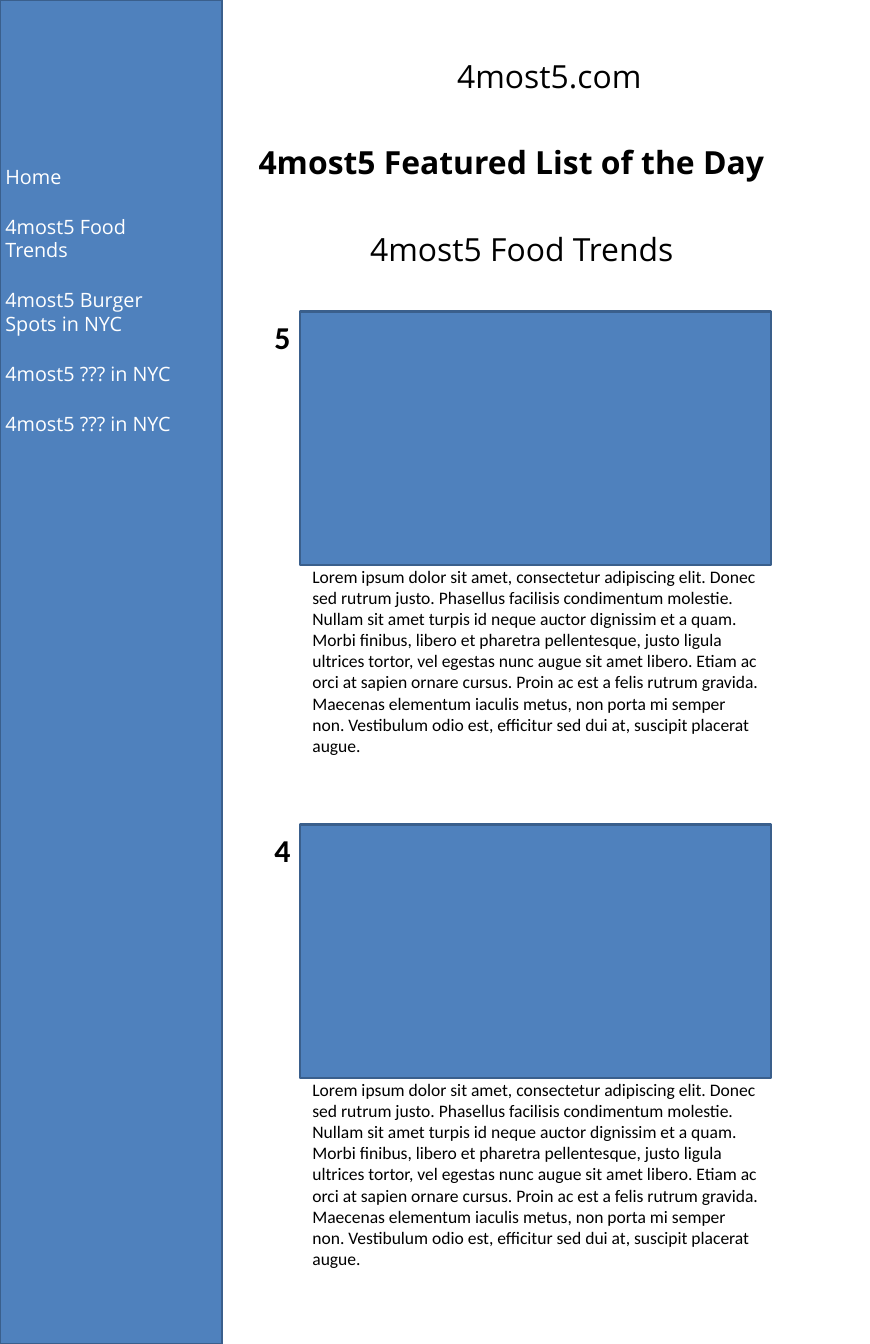
from pptx import Presentation
from pptx.dml.color import RGBColor
from pptx.enum.shapes import MSO_SHAPE as Shape
from pptx.enum.text import MSO_ANCHOR as Anchor, MSO_AUTO_SIZE as AutoSize, PP_ALIGN as Align
from pptx.util import Inches, Pt

BLUE = RGBColor(0x4F, 0x81, 0xBD)
EDGE = RGBColor(0x3A, 0x5F, 0x8C)
BLACK = RGBColor(0, 0, 0)
WHITE = RGBColor(255, 255, 255)

SITE = "4most5.com"
HEADINGS = [
    ("4most5 Featured List of the Day", (3.11, 1.73, 7.66, 0.65), True),
    ("4most5 Food Trends", (4.52, 2.83, 4.46, 0.65), False),
]
MENU = [
    "Home",
    "4most5 Food Trends",
    "4most5 Burger Spots in NYC",
    "4most5 ??? in NYC",
    "4most5 ??? in NYC",
]
RANKS = ["5", "4"]
BLURB = (
    "Lorem ipsum dolor sit amet, consectetur adipiscing elit. Donec sed rutrum justo. "
    "Phasellus facilisis condimentum molestie. Nullam sit amet turpis id neque auctor "
    "dignissim et a quam. Morbi finibus, libero et pharetra pellentesque, justo ligula "
    "ultrices tortor, vel egestas nunc augue sit amet libero. Etiam ac orci at sapien "
    "ornare cursus. Proin ac est a felis rutrum gravida. Maecenas elementum iaculis metus, "
    "non porta mi semper non. Vestibulum odio est, efficitur sed dui at, suscipit placerat augue."
)
ENTRY_TOP, ENTRY_STEP = 3.94, 6.49
ENTRY_LEFT, ENTRY_WIDTH = 3.79, 5.96
WIDE_INSETS, MENU_INSETS = (0.16, 0.08), (0.1, 0.05)


def write(box, lines, font, size, color=BLACK, bold=False, wrap=False, insets=WIDE_INSETS, gap=0):
    """Fill a box with one left-aligned paragraph per line."""
    frame = box.text_frame
    frame.word_wrap = wrap
    frame.auto_size = AutoSize.SHAPE_TO_FIT_TEXT
    frame.vertical_anchor = Anchor.TOP
    frame.margin_left = frame.margin_right = Inches(insets[0])
    frame.margin_top = frame.margin_bottom = Inches(insets[1])
    for index, line in enumerate(lines):
        para = frame.paragraphs[0] if index == 0 else frame.add_paragraph()
        para.alignment = Align.LEFT
        para.space_before = Pt(0)
        para.space_after = Pt(gap)
        span = para.add_run()
        span.text = line
        span.font.name = font
        span.font.size = Pt(size)
        span.font.bold = bold
        span.font.color.rgb = color


def add_text(page, place, lines, font, size, **style):
    """Add a text box and write its lines."""
    write(page.shapes.add_textbox(*map(Inches, place)), lines, font, size, **style)


def add_panel(page, place):
    """Add a blue outlined rectangle."""
    panel = page.shapes.add_shape(Shape.RECTANGLE, *map(Inches, place))
    panel.shadow.inherit = False
    panel.fill.solid()
    panel.fill.fore_color.rgb = BLUE
    panel.line.color.rgb = EDGE
    panel.line.width = Pt(2)


def main():
    """Build the page and save it."""
    deck = Presentation()
    deck.slide_width, deck.slide_height = Inches(11), Inches(17)
    page = deck.slides.add_slide(deck.slide_layouts[5])

    title = page.shapes.title
    title.left, title.top, title.width, title.height = map(Inches, (5.62, 0.64, 2.86, 0.65))
    write(title, [SITE], "Open Sans", 29)

    add_panel(page, (0, 0, 2.81, 17))
    for heading, place, bold in HEADINGS:
        add_text(page, place, [heading], "Open Sans", 29, bold=bold)

    for index, rank in enumerate(RANKS):
        top = ENTRY_TOP + index * ENTRY_STEP
        add_panel(page, (ENTRY_LEFT, top, ENTRY_WIDTH, 3.21))
        add_text(page, (ENTRY_LEFT, top + 3.14, ENTRY_WIDTH, 2.58), [BLURB], "Calibri", 16, wrap=True)
        add_text(page, (3.31, top, 0.53, 0.65), [rank], "Calibri", 29, bold=True)

    add_text(page, (-0.03, 2.03, 2.46, 4.17), MENU, "Open Sans", 18,
             color=WHITE, wrap=True, insets=MENU_INSETS, gap=24)
    deck.save("out.pptx")


if __name__ == "__main__":
    main()
